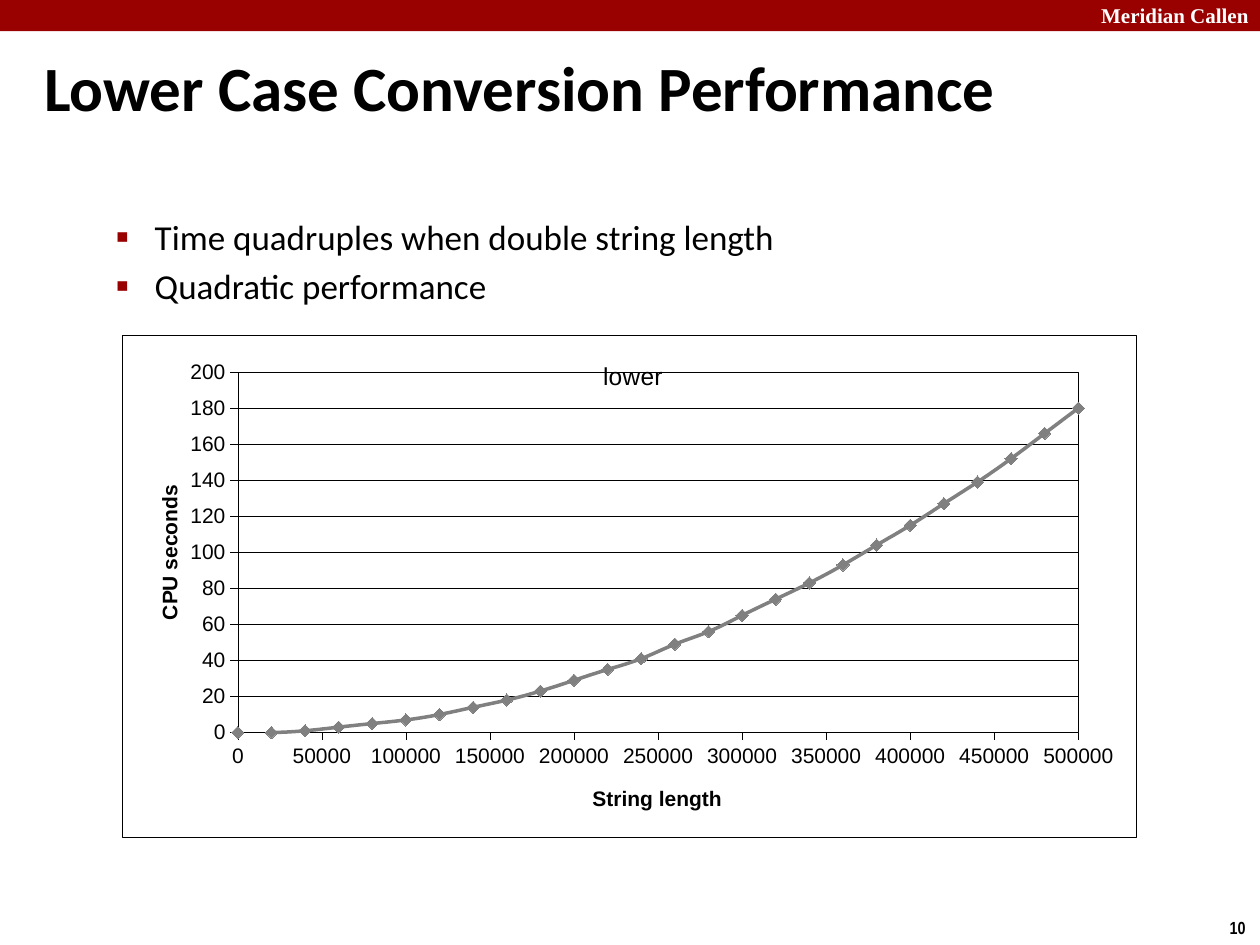
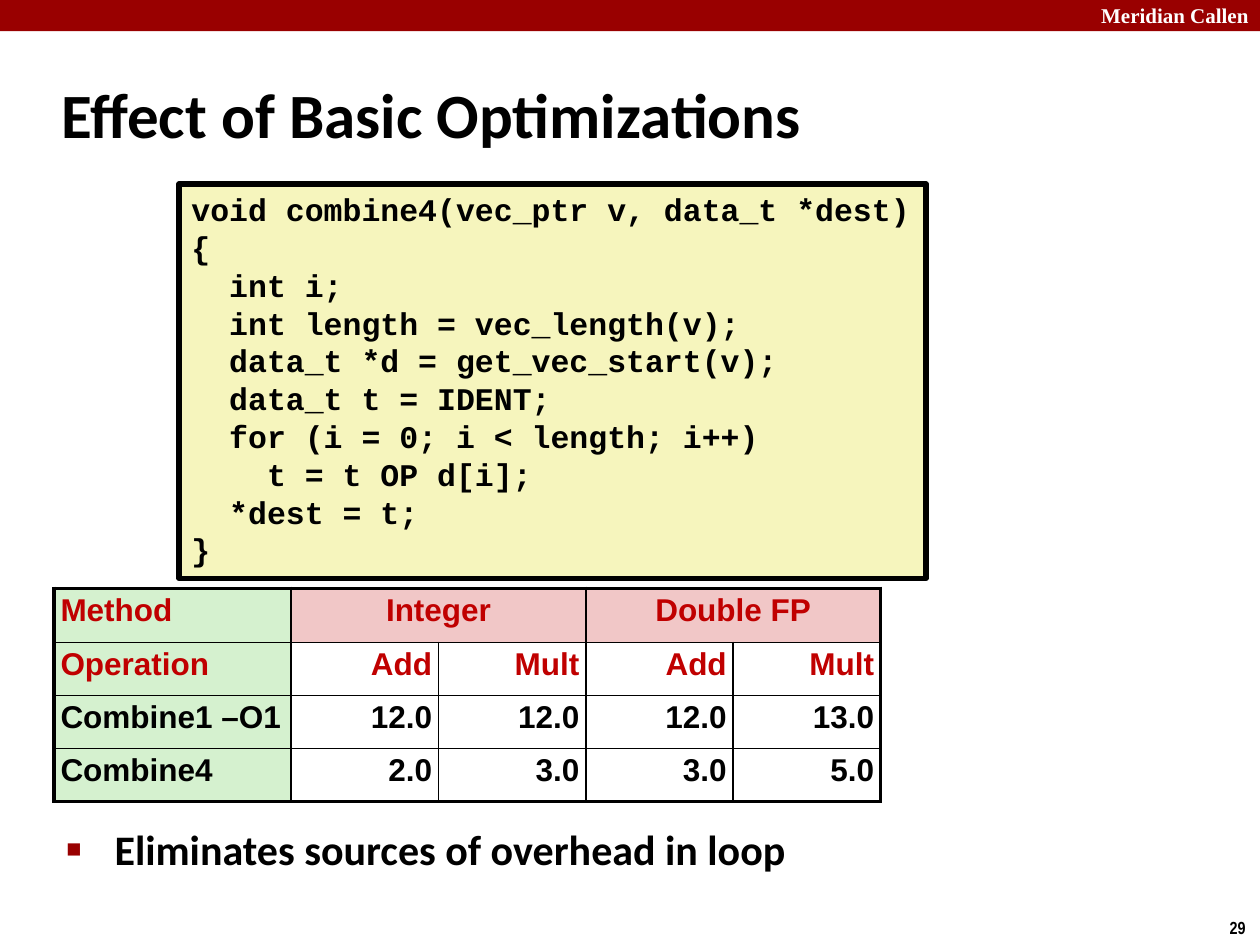
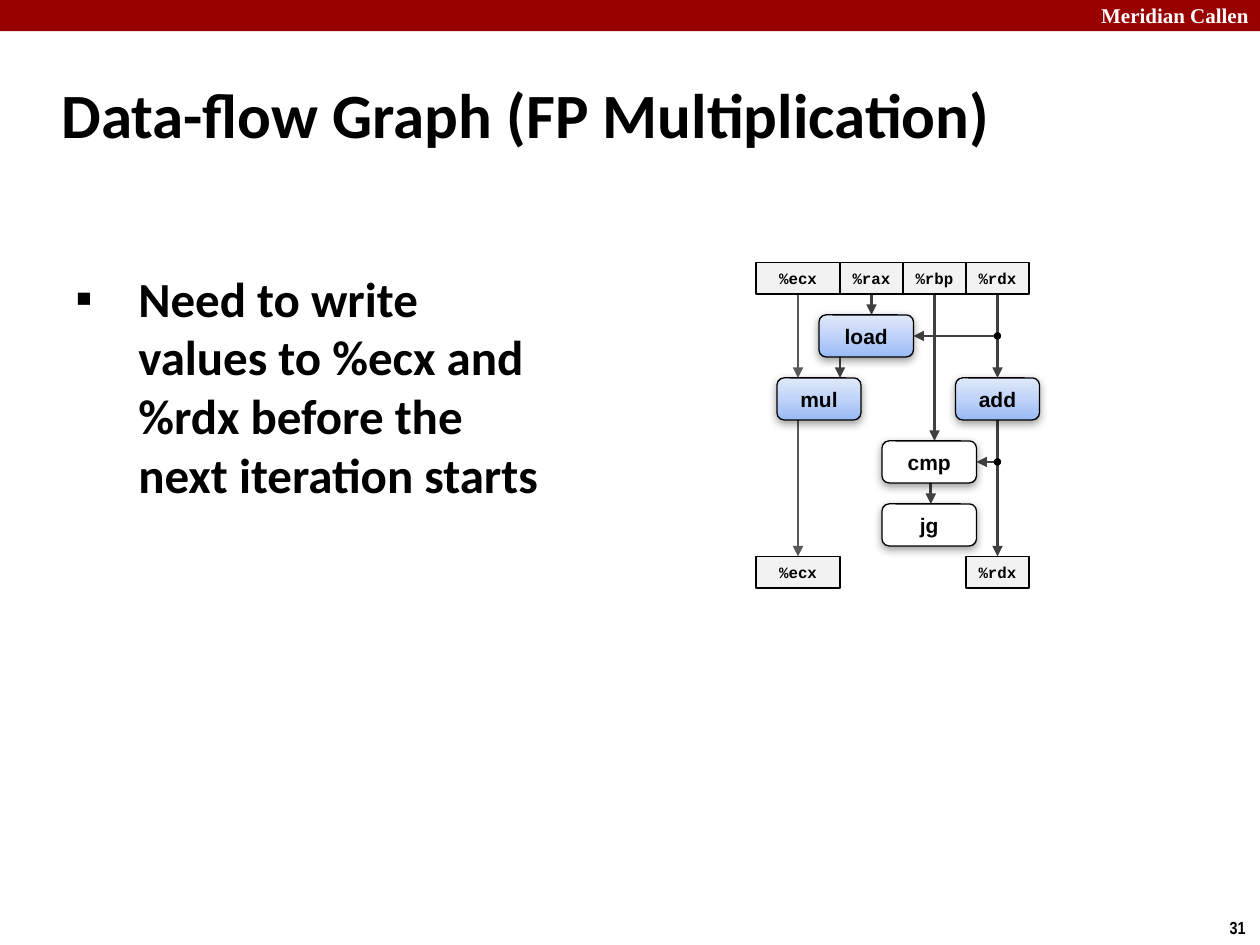
from pptx import Presentation
from pptx.chart.data import XyChartData
from pptx.dml.color import RGBColor
from pptx.enum.chart import XL_CHART_TYPE, XL_MARKER_STYLE, XL_TICK_MARK
from pptx.enum.shapes import MSO_CONNECTOR, MSO_SHAPE
from pptx.enum.text import MSO_ANCHOR, PP_ALIGN
from pptx.oxml import parse_xml
from pptx.oxml.ns import nsdecls, qn
from pptx.util import Cm, Pt

# Shared look
BLACK, WHITE, RED = "000000", "FFFFFF", "990000"
SANS, BODY, MONO = "Arial", "Calibri", "Courier New"
LEFT, MID, RIGHT = PP_ALIGN.LEFT, PP_ALIGN.CENTER, PP_ALIGN.RIGHT
BAND = "Meridian Callen"

# Slide 1: chart of run time against string length
POINTS = ["Time quadruples when double string length",
          "Quadratic performance"]
TIMES = [0, 0, 1, 3, 5, 7, 10, 14, 18, 23, 29, 35, 41, 49, 56, 65, 74, 83,
         93, 104, 115, 127, 139, 152, 166, 180]
STEP = 20000

# Slide 2: code and its cost
CODE = """void combine4(vec_ptr v, data_t *dest)
{
  int i;
  int length = vec_length(v);
  data_t *d = get_vec_start(v);
  data_t t = IDENT;
  for (i = 0; i < length; i++)
    t = t OP d[i];
  *dest = t;
}"""
COSTS = [["Method", "Integer", None, "Double FP", None],
         ["Operation", "Add", "Mult", "Add", "Mult"],
         ["Combine1 –O1", "12.0", "12.0", "12.0", "13.0"],
         ["Combine4", "2.0", "3.0", "3.0", "5.0"]]

# Slide 3: graph on a grid of twelfths of an inch, from the top left register
UNIT = 2.54 / 12
REGS = [("%ecx", 0, 0, 8), ("%rax", 8, 0, 6), ("%rbp", 14, 0, 6),
        ("%rdx", 20, 0, 6), ("%ecx", 0, 28, 8), ("%rdx", 20, 28, 6)]
OPS = [("load", 6, 5, 9, True), ("mul", 2, 11, 8, True),
       ("add", 19, 11, 8, True), ("cmp", 12, 17, 9, False),
       ("jg", 12, 23, 9, False)]
DARK, GREY = "404040", "595959"
FLOWS = [(4, 3, 4, 11, GREY), (4, 15, 4, 28, GREY), (11, 3, 11, 5, DARK),
         (8, 9, 8, 11, DARK), (17, 3, 17, 17, DARK), (23, 3, 23, 11, DARK),
         (23, 15, 23, 28, DARK), (16.65, 21, 16.65, 23, DARK),
         (23, 7, 15, 7, DARK), (23, 19, 21, 19, DARK)]
DOTS = [(23, 7), (23, 19)]
BLUES = [(0, "98BAF6"), (50, "C0D3F8"), (100, "E0E9FB")]


def rgb(code):
    return RGBColor.from_string(code)


def style(font, size, name, color=BLACK, bold=True):
    font.size, font.name, font.bold = Pt(size), name, bold
    font.color.rgb = rgb(color)


def write(frame, text, size, name, color=BLACK, bold=True, align=LEFT):
    frame.text = text
    for para in frame.paragraphs:
        para.alignment = align
        for run in para.runs:
            style(run.font, size, name, color, bold)


def label(slide, box, text, *look, wrap=True, **more):
    frame = slide.shapes.add_textbox(*map(Cm, box)).text_frame
    frame.word_wrap = wrap
    write(frame, text, *look, **more)
    return frame


def block(slide, kind, box, fill, line=None, width=1):
    shape = slide.shapes.add_shape(kind, *map(Cm, box))
    shape.shadow.inherit = False
    shape.fill.solid()
    shape.fill.fore_color.rgb = rgb(fill)
    if line:
        shape.line.color.rgb = rgb(line)
        shape.line.width = Pt(width)
    else:
        shape.line.fill.background()
    return shape


def bullet(frame, char, left, hang, color=BLACK, size=100, before=0):
    for para in frame.paragraphs:
        para.space_before = Pt(before)
        props = para._p.get_or_add_pPr()
        props.set("marL", str(Cm(left)))
        props.set("indent", str(-Cm(hang)))
        for xml in (f'<a:buClr {nsdecls("a")}><a:srgbClr val="{color}"/></a:buClr>',
                    f'<a:buSzPct {nsdecls("a")} val="{size * 1000}"/>',
                    f'<a:buFont {nsdecls("a")} typeface="{SANS}"/>',
                    f'<a:buChar {nsdecls("a")} char="{char}"/>'):
            props.append(parse_xml(xml))


def page(deck, title, number, box=(0.99, 1.22, 21.08, 2.11)):
    """Add a slide with the band, page number and title."""
    slide = deck.slides.add_slide(deck.slide_layouts[6])
    block(slide, MSO_SHAPE.RECTANGLE, (0, 0, 25.4, 0.63), RED)
    label(slide, (21.95, -0.08, 3.63, 0.76), BAND, 12, "Times New Roman", WHITE)
    label(slide, (24.54, 18.36, 0.86, 0.69), str(number), 10, "Arial Narrow",
          wrap=False)
    head = label(slide, box, title, 36, BODY)
    head.vertical_anchor = MSO_ANCHOR.MIDDLE
    return slide


# Chart helpers
def place(node, x, y, size=None):
    """Give a chart part a fixed position, in fractions of the chart."""
    old = node.find(qn("c:layout"))
    if old is not None:
        node.remove(old)
    parts = [("xMode", "edge"), ("yMode", "edge"), ("x", x), ("y", y)]
    if size:
        parts = [("layoutTarget", "inner")] + parts + list(zip("wh", size))
    body = "".join(f'<c:{tag} val="{val}"/>' for tag, val in parts)
    layout = parse_xml(f'<c:layout {nsdecls("c")}><c:manualLayout>{body}'
                       '</c:manualLayout></c:layout>')
    text = node.find(qn("c:tx"))
    if text is None:
        node.insert(0, layout)
    else:
        text.addnext(layout)


def frame_xml(fill):
    return parse_xml(
        f'<c:spPr {nsdecls("c", "a")}>{fill}<a:ln w="{Pt(0.25)}"><a:solidFill>'
        f'<a:srgbClr val="{BLACK}"/></a:solidFill></a:ln></c:spPr>')


def hair(line):
    line.color.rgb = rgb(BLACK)
    line.width = Pt(0.25)


def plot(slide):
    data = XyChartData()
    line = data.add_series("Series 1")
    for i, time in enumerate(TIMES):
        line.add_data_point(i * STEP, time)
    chart = slide.shapes.add_chart(
        XL_CHART_TYPE.XY_SCATTER_SMOOTH, Cm(2.46), Cm(6.76), Cm(20.45),
        Cm(10.13), data).chart
    style(chart.font, 12, SANS, bold=False)
    chart.has_legend = False
    chart.has_title = True
    write(chart.chart_title.text_frame, "lower", 14, SANS, bold=False, align=MID)
    chart.chart_title.include_in_layout = True
    place(chart.chart_title._element, 0.47, 0.04)

    axes = [(chart.category_axis, "String length", 500000, 50000, 0.46, 0.89),
            (chart.value_axis, "CPU seconds", 200, 20, 0.03, 0.29)]
    for axis, text, top, unit, x, y in axes:
        axis.minimum_scale, axis.maximum_scale = 0, top
        axis.major_unit = unit
        axis.major_tick_mark = XL_TICK_MARK.OUTSIDE
        axis.has_major_gridlines = axis is axes[1][0]
        style(axis.tick_labels.font, 12, SANS, bold=False)
        hair(axis.format.line)
        write(axis.axis_title.text_frame, text, 12, SANS, align=MID)
        place(axis.axis_title._element, x, y)
    value = chart.value_axis
    hair(value.major_gridlines.format.line)
    value.axis_title.text_frame._txBody.bodyPr.set("rot", "-5400000")

    chart.plots[0].vary_by_categories = False
    curve = chart.plots[0].series[0]
    curve.format.line.color.rgb = rgb("808080")
    curve.format.line.width = Pt(2)
    curve.marker.style = XL_MARKER_STYLE.DIAMOND
    curve.marker.size = 7
    curve.marker.format.fill.solid()
    curve.marker.format.fill.fore_color.rgb = rgb("333333")
    curve.marker.format.line.color.rgb = rgb("808080")

    root = chart._chartSpace
    for node in root.iter(qn("c:smooth")):
        node.set("val", "1")
    body = root.find(qn("c:chart"))
    area = body.find(qn("c:plotArea"))
    place(area, 0.114, 0.073, (0.829, 0.718))
    area.append(frame_xml("<a:noFill/>"))
    body.addnext(frame_xml(
        f'<a:solidFill><a:srgbClr val="{WHITE}"/></a:solidFill>'))


# Table helpers
def edge(cell, side, width):
    cell._tc.get_or_add_tcPr().append(parse_xml(
        f'<a:ln{side} {nsdecls("a")} w="{Pt(width)}"><a:solidFill>'
        f'<a:srgbClr val="{BLACK}"/></a:solidFill></a:ln{side}>'))


def costs(slide):
    rows, cols = len(COSTS), len(COSTS[0])
    grid = slide.shapes.add_table(rows, cols, Cm(1.09), Cm(11.86), Cm(16.7),
                                  Cm(4.3)).table
    grid.first_row = grid.horz_banding = False
    for c, col in enumerate(grid.columns):
        col.width = Cm(2.97 if c else 4.78)
    for r, row in enumerate(grid.rows):
        row.height = Cm(1.07 if r else 1.09)
    for c in (1, 3):
        grid.cell(0, c).merge(grid.cell(0, c + 1))
    for r, row in enumerate(COSTS):
        for c, text in enumerate(row):
            cell = grid.cell(r, c)
            last = c + cell.span_width == cols
            for side, outer in (("L", c == 0), ("R", last), ("T", r == 0),
                                ("B", r == rows - 1)):
                edge(cell, side, 2.25 if outer else 1)
            if c and r:
                cell.fill.background()
            else:
                cell.fill.solid()
                cell.fill.fore_color.rgb = rgb("F1C7C7" if c else "D5F1CF")
            cell.margin_left = cell.margin_right = Cm(0.13)
            cell.margin_top = cell.margin_bottom = Cm(0.13)
            if text:
                write(cell.text_frame, text, 18, SANS,
                      "C00000" if r < 2 else BLACK,
                      align=LEFT if c == 0 else RIGHT if r else MID)
                cell.text_frame.paragraphs[0].line_spacing = 0.95


# Graph helpers
def spot(x, y):
    return 15.24 + x * UNIT, 5.29 + y * UNIT


def node(slide, kind, x, y, w, h, fill, width, text, size, name):
    shape = block(slide, kind, (*spot(x, y), w * UNIT, h * UNIT), fill, BLACK,
                  width)
    frame = shape.text_frame
    frame.margin_left = frame.margin_right = 0
    frame.margin_top = frame.margin_bottom = 0
    frame.vertical_anchor = MSO_ANCHOR.MIDDLE
    write(frame, text, size, name, align=MID)
    return shape


def shade(shape):
    """Give a soft shadow below the shape."""
    shape._element.spPr.find(qn("a:effectLst")).append(parse_xml(
        f'<a:outerShdw {nsdecls("a")} blurRad="{Pt(5)}" dist="{Pt(1.6)}" '
        f'dir="5400000" rotWithShape="0"><a:srgbClr val="{BLACK}">'
        '<a:alpha val="38000"/></a:srgbClr></a:outerShdw>'))


def tint(shape):
    """Swap the plain fill for a blue gradient, darkest at the bottom."""
    stops = "".join(f'<a:gs pos="{pos * 1000}"><a:srgbClr val="{code}"/></a:gs>'
                    for pos, code in BLUES)
    props = shape._element.spPr
    props.replace(props.find(qn("a:solidFill")), parse_xml(
        f'<a:gradFill {nsdecls("a")} rotWithShape="1"><a:gsLst>{stops}</a:gsLst>'
        '<a:lin ang="16200000" scaled="0"/></a:gradFill>'))


def arrow(slide, x1, y1, x2, y2, color):
    ends = map(Cm, spot(x1, y1) + spot(x2, y2))
    line = slide.shapes.add_connector(MSO_CONNECTOR.STRAIGHT, *ends)
    line.line.color.rgb = rgb(color)
    line.line.width = Pt(1.5)
    line.line._get_or_add_ln().append(
        parse_xml(f'<a:tailEnd {nsdecls("a")} type="triangle"/>'))
    line._element.spPr.append(parse_xml(f'<a:effectLst {nsdecls("a")}/>'))


def graph(slide):
    for flow in FLOWS:
        arrow(slide, *flow)
    for text, x, y, w in REGS:
        node(slide, MSO_SHAPE.RECTANGLE, x, y, w, 3, "F2F2F2", 1, text, 9, MONO)
    for text, x, y, w, blue in OPS:
        shape = node(slide, MSO_SHAPE.ROUNDED_RECTANGLE, x, y, w, 4, WHITE,
                     0.75, text, 12, SANS)
        shape.adjustments[0] = 0.17
        shade(shape)
        if blue:
            tint(shape)
    size = 0.15
    for x, y in DOTS:
        left, top = spot(x, y)
        block(slide, MSO_SHAPE.OVAL,
              (left - size / 2, top - size / 2, size, size), BLACK)


deck = Presentation()
deck.slide_width, deck.slide_height = Cm(25.4), Cm(19.05)

# Slide 1
slide = page(deck, "Lower Case Conversion Performance", 10,
             (0.64, 0.94, 24.1, 1.6))
text = label(slide, (0.81, 4.22, 23.09, 2.51), "\n".join(POINTS), 20, BODY,
             bold=False)
bullet(text, "▪", 2.06, 0.79, RED, 110, 4)
plot(slide)

# Slide 2
slide = page(deck, "Effect of Basic Optimizations", 29)
text = label(slide, (1.09, 16.48, 21.95, 1.5),
             "Eliminates sources of overhead in loop", 24, BODY)
bullet(text, "■", 0.97, 0.97, RED, 60, 4.8)
panel = block(slide, MSO_SHAPE.RECTANGLE, (3.61, 3.71, 15.06, 7.95), "F6F5BD",
              BLACK, 3)
panel.text_frame.word_wrap = False
panel.text_frame.vertical_anchor = MSO_ANCHOR.TOP
write(panel.text_frame, CODE, 18, MONO)
costs(slide)

# Slide 3
slide = page(deck, "Data-flow Graph (FP Multiplication)", 31)
graph(slide)
text = label(slide, (1.27, 5.28, 9.96, 5.05),
             "Need to write values to %ecx and %rdx before the next iteration "
             "starts", 28, BODY)
bullet(text, "▪", 1.27, 1.27)

deck.save("out.pptx")
